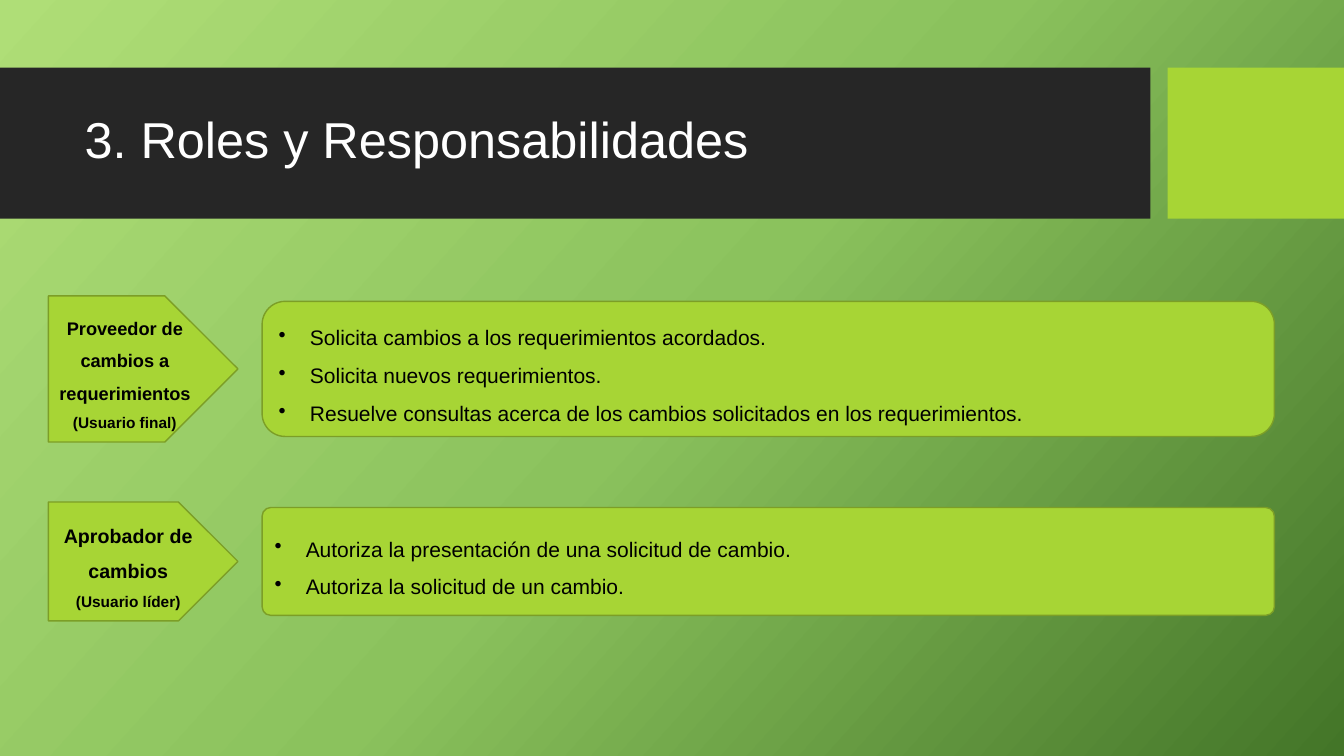
import copy
from dataclasses import dataclass

import pptx
import pptx.dml.color
import pptx.enum.shapes
import pptx.enum.text
import pptx.oxml
import pptx.oxml.ns
import pptx.util

Inches = pptx.util.Inches
Pt = pptx.util.Pt
RGB = pptx.dml.color.RGBColor.from_string
KIND = pptx.enum.shapes.MSO_SHAPE
ALIGN = pptx.enum.text.PP_ALIGN
ANCHOR = pptx.enum.text.MSO_ANCHOR
qn = pptx.oxml.ns.qn


@dataclass(frozen=True)
class Theme:
    font: str = "Arial"
    back: tuple = ((0, "AFDE77"), (0.5, "8BC25D"), (1, "437528"))
    band: str = "262626"
    lime: str = "A7D535"
    edge: str = "7C9E27"
    white: str = "FFFFFF"
    black: str = "000000"
    title: int = 36
    duty: int = 15
    user: int = 11


theme = Theme()
deck = pptx.Presentation()
deck.slide_width = Inches(13.33)
deck.slide_height = Inches(7.5)
slide = deck.slides.add_slide(deck.slide_layouts[6])


def add_box(kind, left, top, width, height, fill, edge=None):
    box = slide.shapes.add_shape(
        kind, Inches(left), Inches(top), Inches(width), Inches(height))
    box.shadow.inherit = False
    box.fill.solid()
    box.fill.fore_color.rgb = RGB(fill)
    if edge:
        box.line.color.rgb = RGB(edge)
        box.line.width = Pt(1)
    else:
        box.line.fill.background()
    return box


def add_text(shape, lines, color, align, space, bullet=False):
    """Fill a shape with one paragraph for each (text, size, bold) line."""
    frame = shape.text_frame
    frame.word_wrap = True
    frame.vertical_anchor = ANCHOR.MIDDLE
    for i, (text, size, bold) in enumerate(lines):
        para = frame.add_paragraph() if i else frame.paragraphs[0]
        para.alignment = align
        para.line_spacing = space
        if bullet:
            props = para._p.get_or_add_pPr()
            props.set("marL", str(Inches(0.31)))
            props.set("indent", str(-Inches(0.31)))
            mark = pptx.oxml.parse_xml(
                f'<a:buChar {pptx.oxml.ns.nsdecls("a")} char="•"/>')
            props.append(mark)
        run = para.add_run()
        run.text = text
        run.font.name = theme.font
        run.font.size = Pt(size)
        run.font.bold = bold
        run.font.color.rgb = RGB(color)


# Background gradient, light at top left
back = slide.background.fill
back.gradient()
back.gradient_angle = 360 - 42
stops = slide.element.find(".//" + qn("a:gsLst"))
stops.append(copy.deepcopy(stops[0]))
for stop, (place, color) in zip(back.gradient_stops, theme.back):
    stop.position = place
    stop.color.rgb = RGB(color)

# Title band
add_box(KIND.RECTANGLE, 0, 0.67, 11.41, 1.5, theme.band)
add_box(KIND.RECTANGLE, 11.58, 0.67, 1.75, 1.5, theme.lime)
title = slide.shapes.add_textbox(
    Inches(0.74), Inches(0.82), Inches(10.51), Inches(1.18))
add_text(title, [("3. Roles y Responsabilidades", theme.title, False)],
         theme.white, ALIGN.LEFT, 0.9)

# Each role: middle, arrow height, box height, corner, name, size, user, duties
roles = [
    (3.66, 1.45, 1.34, 0.17, "Proveedor de cambios a requerimientos", 13,
     "(Usuario final)",
     ["Solicita cambios a los requerimientos acordados.",
      "Solicita nuevos requerimientos.",
      "Resuelve consultas acerca de los cambios solicitados en los "
      "requerimientos."]),
    (5.57, 1.18, 1.07, 0.08, "Aprobador de cambios", 14,
     "(Usuario líder)",
     ["Autoriza la presentación de una solicitud de cambio.",
      "Autoriza la solicitud de un cambio."]),
]
for mid, tall, low, corner, name, size, user, duties in roles:
    arrow = add_box(KIND.PENTAGON, 0.48, mid - tall / 2, 1.88, tall,
                    theme.lime, theme.edge)
    add_text(arrow, [(name, size, True), (user, theme.user, True)],
             theme.black, ALIGN.CENTER, 1.5)
    panel = add_box(KIND.ROUNDED_RECTANGLE, 2.6, mid - low / 2, 10.04, low,
                    theme.lime, theme.edge)
    panel.adjustments[0] = corner
    add_text(panel, [(duty, theme.duty, False) for duty in duties],
             theme.black, ALIGN.LEFT, 1.5, bullet=True)

deck.save("out.pptx")
